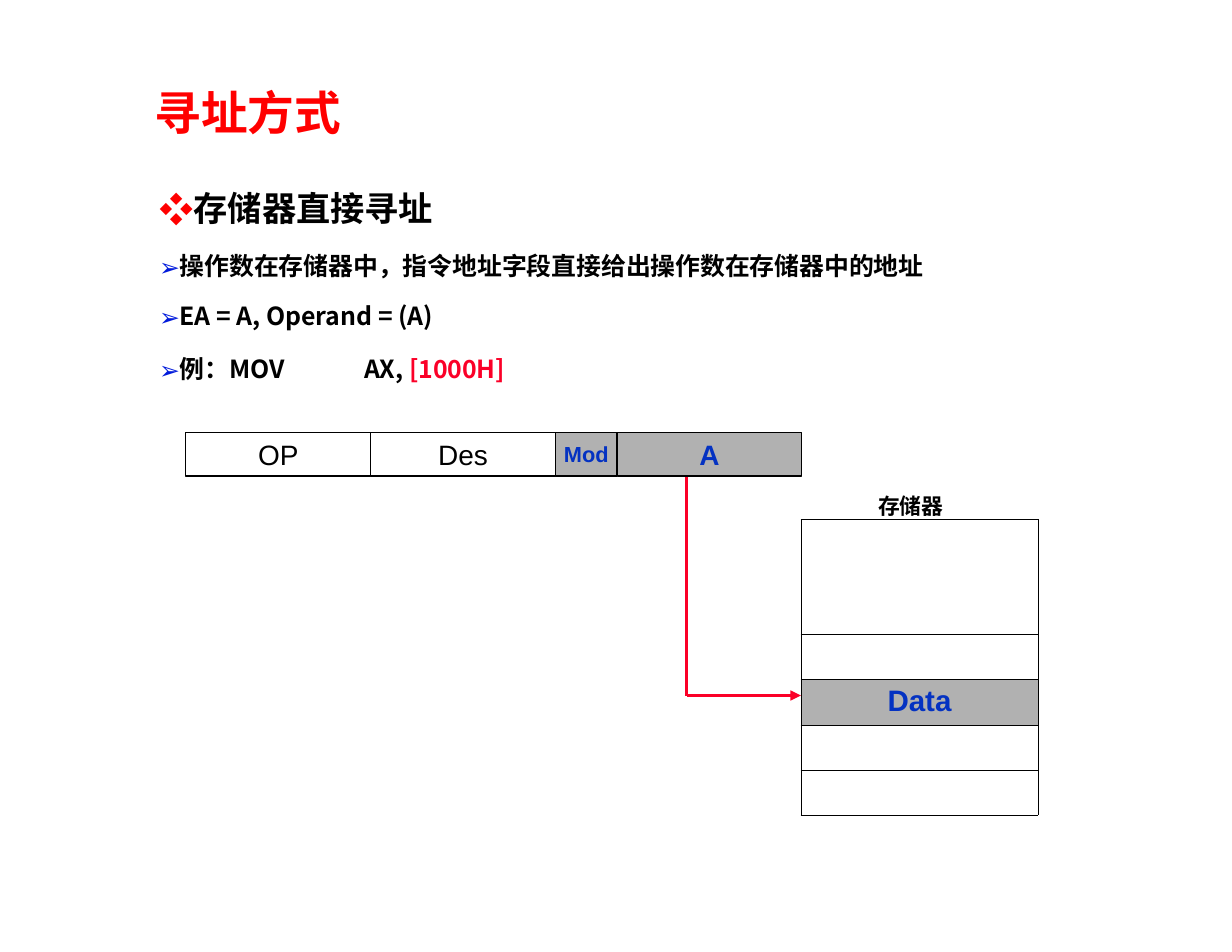
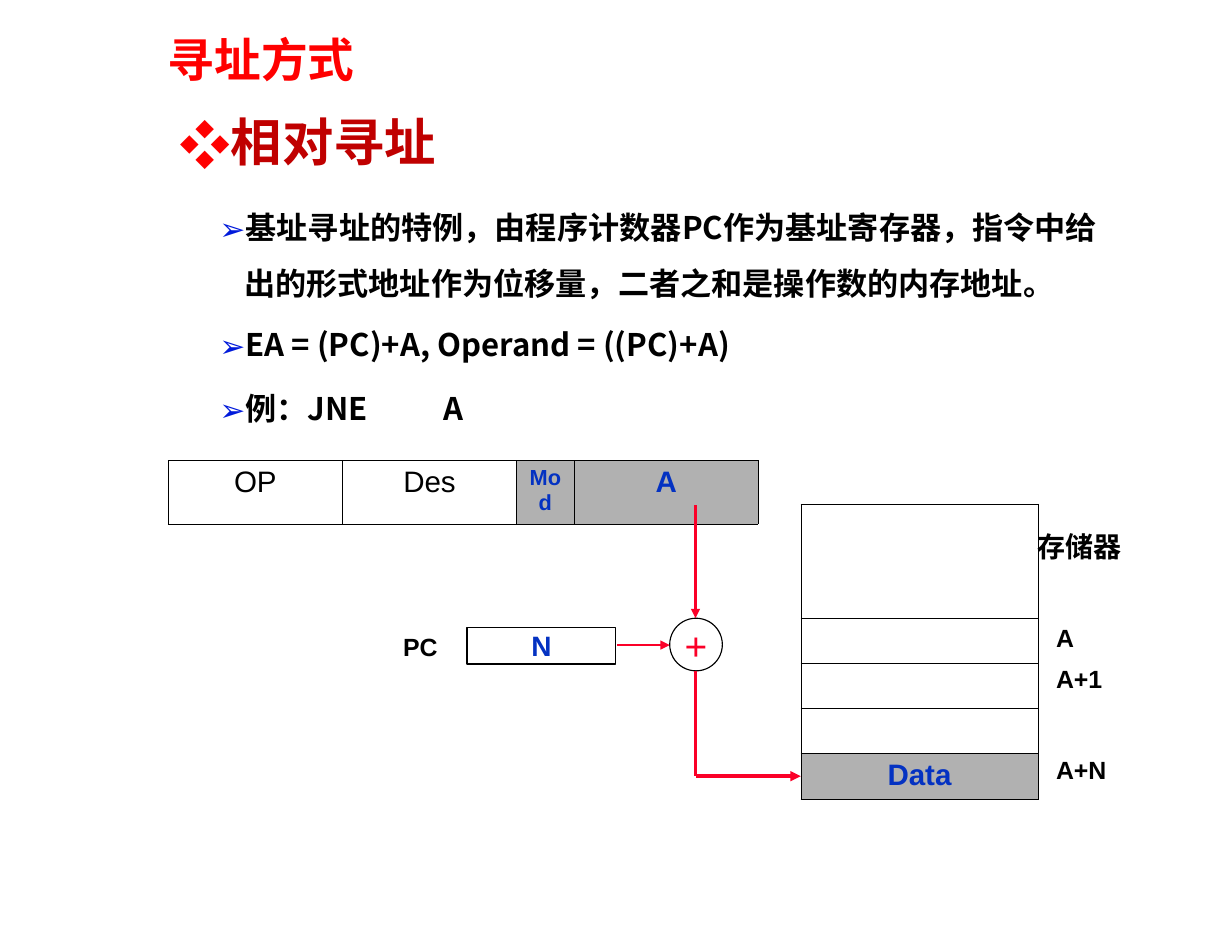
from lxml.etree import SubElement
from pptx import Presentation
from pptx.dml.color import RGBColor
from pptx.enum.shapes import MSO_CONNECTOR, MSO_SHAPE
from pptx.enum.text import MSO_ANCHOR as ANCHOR, PP_ALIGN as ALIGN
from pptx.oxml.ns import qn
from pptx.util import Inches, Pt

BLACK = RGBColor(0x00, 0x00, 0x00)
RED = RGBColor(0xFF, 0x00, 0x00)
DARK_RED = RGBColor(0xC0, 0x00, 0x00)
CRIMSON = RGBColor(0xFB, 0x00, 0x28)
BLUE = RGBColor(0x04, 0x32, 0xC2)
BULLET_BLUE = RGBColor(0x00, 0x1A, 0xDB)
GRAY = RGBColor(0xB1, 0xB1, 0xB1)

ARIAL = "Arial"
CJK_SC = "Noto Sans CJK SC"
CJK_TC = "Noto Sans CJK TC"

MEMORY_LEFT, MEMORY_WIDTH = 7.15, 2.12
MEMORY_ROWS = [1.02, 0.39, 0.39, 0.39, 0.39]


def add_bullet(p, char, color, hang, tab=None):
    """Give p a hanging bullet and, if asked, a left tab stop (inches)."""
    pPr = p._p.get_or_add_pPr()
    pPr.set("marL", str(Inches(hang)))
    pPr.set("indent", str(-Inches(hang)))
    SubElement(SubElement(pPr, qn("a:buClr")), qn("a:srgbClr"), val=str(color))
    SubElement(pPr, qn("a:buFont"), typeface=CJK_SC)
    SubElement(pPr, qn("a:buChar"), char=char)
    if tab:
        tabs = SubElement(pPr, qn("a:tabLst"))
        SubElement(tabs, qn("a:tab"), pos=str(Inches(tab)), algn="l")


def write(p, text, size=18, font=ARIAL, color=BLACK, bold=False,
          align=ALIGN.LEFT, spacing=None, before=None, bullet=None):
    """Fill p with text: one string, or a list of (string, color) pairs."""
    if bullet:
        add_bullet(p, *bullet)
    p.alignment = align
    if spacing:
        p.line_spacing = spacing
    if before:
        p.space_before = Pt(before)
    parts = [(text, color)] if isinstance(text, str) else text
    for part, part_color in parts:
        r = p.add_run()
        r.text = part
        r.font.size = Pt(size)
        r.font.bold = bold
        r.font.color.rgb = part_color
        r.font.name = font
        SubElement(r._r.get_or_add_rPr(), qn("a:ea"), typeface=font)


class Deck:
    """Holds the presentation, its style and the current slide."""

    def __init__(self):
        self.prs = Presentation()
        self.prs.slide_width = Inches(11)
        self.prs.slide_height = Inches(8.5)
        self.s = None

    def new_slide(self):
        self.s = self.prs.slides.add_slide(self.prs.slide_layouts[6])

    def frame(self, sp, anchor):
        tf = sp.text_frame
        tf.word_wrap = True
        tf.vertical_anchor = anchor
        tf.margin_left = tf.margin_right = tf.margin_top = tf.margin_bottom = 0
        return tf

    def text(self, box, *paragraphs, anchor=ANCHOR.TOP, **style):
        """Add a text box; each paragraph is a string or (text, format)."""
        sp = self.s.shapes.add_textbox(*map(Inches, box))
        tf = self.frame(sp, anchor)
        for i, item in enumerate(paragraphs):
            p = tf.add_paragraph() if i else tf.paragraphs[0]
            content, extra = (item, {}) if isinstance(item, str) else item
            write(p, content, **{**style, **extra})

    def title(self, left, top):
        self.text((left, top, 2.2, 0.57), "寻址方式", size=30, font=CJK_TC,
                  color=RED, bold=True)

    def shape(self, box, text, kind=MSO_SHAPE.RECTANGLE, fill=None, **style):
        sp = self.s.shapes.add_shape(kind, *map(Inches, box))
        sp.shadow.inherit = False
        if fill is None:
            sp.fill.background()
        else:
            sp.fill.solid()
            sp.fill.fore_color.rgb = fill
        sp.line.color.rgb = BLACK
        sp.line.width = Pt(0.75)
        tf = self.frame(sp, ANCHOR.MIDDLE)
        write(tf.paragraphs[0], text, align=ALIGN.CENTER, **style)

    def arrow(self, *points, width=2.25):
        """Join the points with lines and put a head on the last one."""
        for start, end in zip(points, points[1:]):
            line = self.s.shapes.add_connector(
                MSO_CONNECTOR.STRAIGHT, *map(Inches, start + end))
            line.line.color.rgb = CRIMSON
            line.line.width = Pt(width)
            SubElement(line._element.spPr, qn("a:effectLst"))
        SubElement(line.line._get_or_add_ln(), qn("a:tailEnd"), type="triangle")

    def table(self, left, top, widths, heights, cells):
        """Add a bordered table; cells maps (row, column) to (text, format)."""
        table = self.s.shapes.add_table(
            len(heights), len(widths), Inches(left), Inches(top),
            Inches(sum(widths)), Inches(sum(heights))).table
        table.first_row = table.horz_banding = False
        for col, width in zip(table.columns, widths):
            col.width = Inches(width)
        for y, height in enumerate(heights):
            table.rows[y].height = Inches(height)
            for x in range(len(widths)):
                self.cell(table.cell(y, x), *cells.get((y, x), ("", {})))

    def cell(self, cell, text, style):
        tcPr = cell._tc.get_or_add_tcPr()
        for side in ("lnL", "lnR", "lnT", "lnB"):
            ln = SubElement(tcPr, qn(f"a:{side}"), w=str(Pt(0.34)))
            fill = SubElement(ln, qn("a:solidFill"))
            SubElement(fill, qn("a:srgbClr"), val=str(BLACK))
        if style.get("color") == BLUE:
            cell.fill.solid()
            cell.fill.fore_color.rgb = GRAY
        else:
            cell.fill.background()
        if text:
            write(cell.text_frame.paragraphs[0], text,
                  **{"size": 19, "align": ALIGN.CENTER, **style})

    def memory(self, top, data_row):
        data = {(data_row, 0): ("Data", {"color": BLUE, "bold": True})}
        self.table(MEMORY_LEFT, top, [MEMORY_WIDTH], MEMORY_ROWS, data)


def direct_addressing(deck):
    deck.new_slide()
    deck.title(1.38, 0.75)
    point = (("➢"), BULLET_BLUE, 0.18, 1.83)
    deck.text(
        (1.42, 1.49, 7.82, 1.93),
        ("存储器直接寻址", {"size": 22, "bullet": ("❖", RED, 0.31)}),
        ("操作数在存储器中，指令地址字段直接给出操作数在存储器中的地址",
         {"before": 4.6}),
        ("EA = A, Operand = (A)", {"before": 3.6}),
        ([("例：MOV\tAX, ", BLACK), ("[1000H]", CRIMSON)], {"before": 5.1}),
        size=16, font=CJK_SC, bold=True, spacing=1.5, bullet=point)

    marked = {"fill": GRAY, "color": BLUE, "bold": True}
    fields = [("OP", 1.65, {}), ("Des", 1.65, {}),
              ("Mod", 0.55, {"size": 14, **marked}), ("A", 1.65, marked)]
    left = 1.66
    for name, width, style in fields:
        deck.shape((left, 3.86, width, 0.39), name, **style)
        left += width

    deck.memory(4.64, data_row=2)
    deck.text((7.84, 4.4, 0.8, 0.23), "存储器", size=14, font=CJK_TC, bold=True)
    deck.arrow((6.13, 4.26), (6.13, 6.21), (MEMORY_LEFT, 6.21))


def relative_addressing(deck):
    deck.new_slide()
    deck.title(1.5, 0.28)
    deck.text((1.6, 1.11, 3.01, 0.37), "相对寻址", size=33, font=CJK_SC,
              color=DARK_RED, bold=True, spacing=0.9, anchor=ANCHOR.MIDDLE,
              bullet=("❖", RED, 0.46))
    deck.text(
        (1.96, 1.69, 8.04, 2.3),
        "基址寻址的特例，由程序计数器PC作为基址寄存器，"
        "指令中给出的形式地址作为位移量，二者之和是操作数的内存地址。",
        ("EA = (PC)+A, Operand = ((PC)+A)", {"before": 3.4}),
        ("例：JNE\tA", {"before": 5}),
        size=20, font=CJK_SC, bold=True, spacing=1.5,
        bullet=("➢", BULLET_BLUE, 0.22, 2))

    marked = {"color": BLUE, "bold": True}
    deck.table(1.5, 4.11, [1.56, 1.55, 0.52, 1.64], [0.39], {
        (0, 0): ("OP", {}),
        (0, 1): ("Des", {}),
        (0, 2): ("Mod", {"size": 14, **marked}),
        (0, 3): ("A", marked),
    })
    deck.memory(4.5, data_row=4)
    deck.text((9.26, 4.73, 0.85, 0.36), "存储器", font=CJK_SC, bold=True)

    labels = [("PC", 3.6, 5.64), ("A", 9.43, 5.56), ("A+1", 9.43, 5.93),
              ("A+N", 9.43, 6.74)]
    for label, left, top in labels:
        deck.text((left, top, 0.6, 0.27), label, size=16, bold=True)

    deck.shape((4.17, 5.6, 1.33, 0.33), "N", **marked)
    deck.shape((5.98, 5.52, 0.47, 0.47), "+", kind=MSO_SHAPE.OVAL, size=25,
               color=CRIMSON)
    deck.arrow((6.21, 4.51), (6.21, 5.52), width=1.75)
    deck.arrow((5.51, 5.76), (5.98, 5.76), width=1.75)
    deck.arrow((6.21, 5.99), (6.21, 6.93), (MEMORY_LEFT, 6.93))


def main():
    deck = Deck()
    direct_addressing(deck)
    relative_addressing(deck)
    deck.prs.save("out.pptx")


if __name__ == "__main__":
    main()
